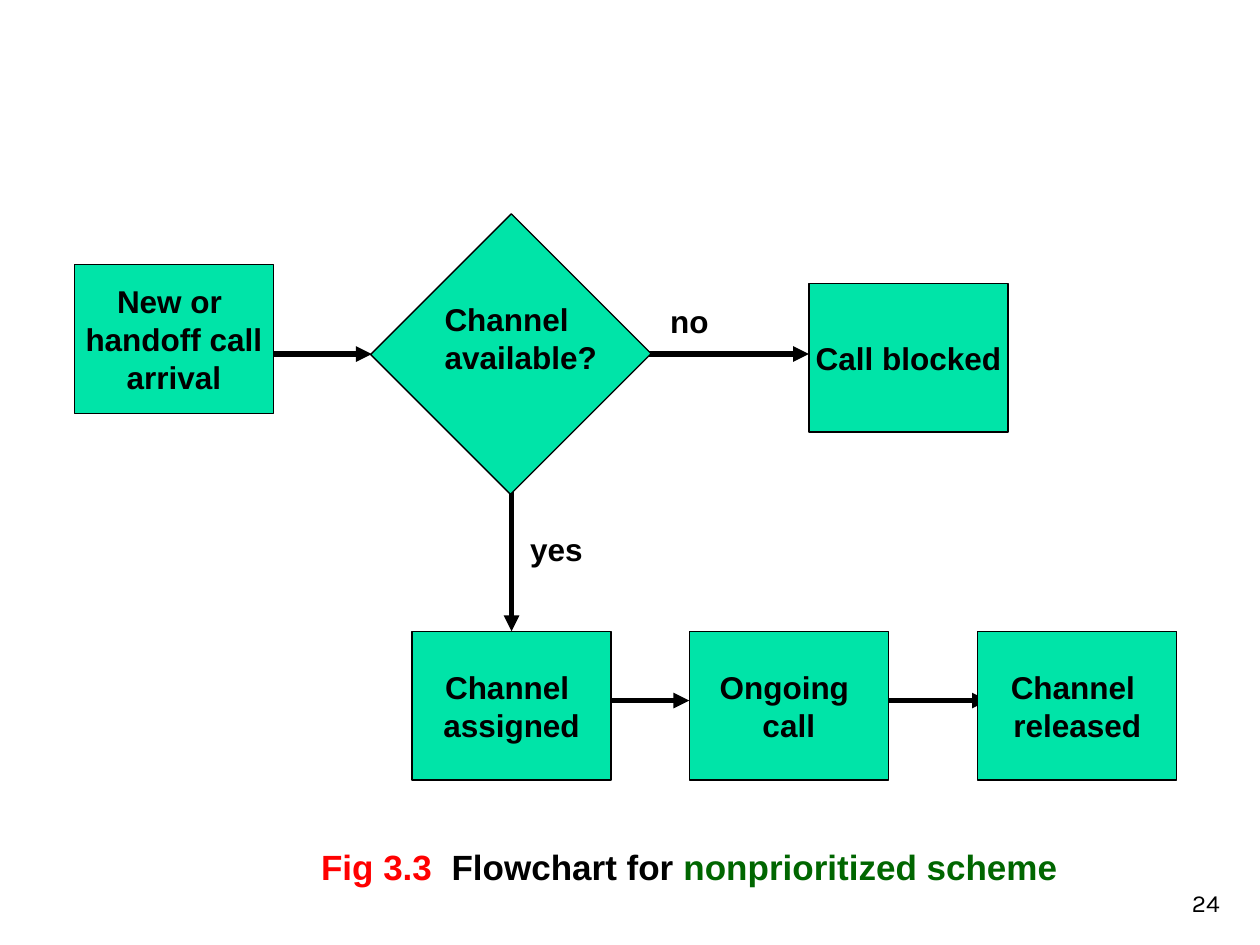
from lxml.etree import SubElement
from pptx import Presentation
from pptx.dml.color import RGBColor
from pptx.enum.shapes import MSO_CONNECTOR, MSO_SHAPE
from pptx.enum.text import MSO_ANCHOR, MSO_AUTO_SIZE, PP_ALIGN
from pptx.oxml.ns import qn
from pptx.util import Inches, Pt

COLORS = {
    "ink": "000000",
    "box": "00E4A8",
    "figure": "FF0000",
    "scheme": "006600",
}
BOX_WIDTH, BOX_HEIGHT = 1.58, 1.18
ARROW_LENGTH = 1.34
UPPER_ARROW_Y, LOWER_ARROW_Y = 2.81, 5.56
LOWER_ROW_TOP = 5.01
DECISION_X = 4.06


def color(name):
    return RGBColor.from_string(COLORS[name])


def style_paragraph(paragraph, alignment, size=18, font_name="Arial", bold=True):
    paragraph.alignment = alignment
    paragraph.font.size = Pt(size)
    paragraph.font.name = font_name
    paragraph.font.bold = bold
    paragraph.font.color.rgb = color("ink")


def write_lines(frame, lines, alignment, **style):
    for index, line in enumerate(lines):
        paragraph = frame.add_paragraph() if index else frame.paragraphs[0]
        paragraph.add_run().text = line
        style_paragraph(paragraph, alignment, **style)


def add_block(slide, left, top, width, height):
    shape = slide.shapes.add_shape(
        MSO_SHAPE.RECTANGLE, Inches(left), Inches(top), Inches(width), Inches(height))
    shape.shadow.inherit = False
    shape.fill.solid()
    shape.fill.fore_color.rgb = color("box")
    shape.line.color.rgb = color("ink")
    shape.line.width = Pt(0.75)
    return shape


def add_step(slide, left, top, lines):
    shape = add_block(slide, left, top, BOX_WIDTH, BOX_HEIGHT)
    frame = shape.text_frame
    frame.word_wrap = False
    frame.vertical_anchor = MSO_ANCHOR.MIDDLE
    write_lines(frame, lines, PP_ALIGN.CENTER)
    return shape


def add_arrow(slide, start_x, start_y, end_x, end_y):
    connector = slide.shapes.add_connector(
        MSO_CONNECTOR.STRAIGHT,
        Inches(start_x), Inches(start_y), Inches(end_x), Inches(end_y))
    connector.line.color.rgb = color("ink")
    connector.line.width = Pt(3)
    SubElement(connector.line._get_or_add_ln(), qn("a:tailEnd"), type="triangle")
    SubElement(connector._element.spPr, qn("a:effectLst"))
    return connector


def add_label(slide, left, top, width, height, lines):
    label = slide.shapes.add_textbox(
        Inches(left), Inches(top), Inches(width), Inches(height))
    frame = label.text_frame
    frame.word_wrap = True
    frame.auto_size = MSO_AUTO_SIZE.SHAPE_TO_FIT_TEXT
    write_lines(frame, lines, PP_ALIGN.LEFT)
    return label


def add_flowchart(slide):
    yes_arrow = add_arrow(slide, DECISION_X, 3.59, DECISION_X, LOWER_ROW_TOP)
    for start_x, y in [
        (5.08, UPPER_ARROW_Y),
        (4.13, LOWER_ARROW_Y),
        (6.5, LOWER_ARROW_Y),
        (1.61, UPPER_ARROW_Y),
    ]:
        add_arrow(slide, start_x, y, start_x + ARROW_LENGTH, y)

    add_step(slide, 0.59, 2.1, ["New or ", "handoff call", "arrival"])
    decision = add_block(slide, 3.27, 2.02, 1.57, 1.58)
    decision.rotation = 45
    add_step(slide, 6.42, 2.25, ["Call blocked"])

    assigned = add_step(
        slide, DECISION_X - BOX_WIDTH / 2, LOWER_ROW_TOP, ["Channel ", "assigned"])
    add_step(slide, 5.47, LOWER_ROW_TOP, ["Ongoing ", "call"])
    add_step(slide, 7.76, LOWER_ROW_TOP, ["Channel ", "released"])
    yes_arrow.end_connect(assigned, 0)

    add_label(slide, 5.22, 2.35, 0.6, 0.4, ["no"])
    add_label(slide, 4.11, 4.16, 0.7, 0.4, ["yes"])
    add_label(slide, 3.43, 2.33, 1.5, 1, ["Channel", "available?"])


def add_caption(slide, left, top, width, height):
    caption = add_label(slide, left, top, width, height, [])
    paragraph = caption.text_frame.paragraphs[0]
    style_paragraph(paragraph, PP_ALIGN.LEFT, size=20)
    for text, color_name in [
        ("Fig 3.3 ", "figure"),
        (" Flowchart for ", "ink"),
        ("nonprioritized scheme", "scheme"),
    ]:
        run = paragraph.add_run()
        run.text = text
        run.font.color.rgb = color(color_name)


def add_page_number(slide, left, top, width, height):
    box = slide.shapes.add_textbox(
        Inches(left), Inches(top), Inches(width), Inches(height))
    frame = box.text_frame
    frame.word_wrap = True
    frame.vertical_anchor = MSO_ANCHOR.BOTTOM
    write_lines(frame, ["24"], PP_ALIGN.RIGHT, size=14, font_name="Karla", bold=False)


def main():
    presentation = Presentation()
    presentation.slide_width = Inches(10)
    presentation.slide_height = Inches(7.5)
    slide = presentation.slides.add_slide(presentation.slide_layouts[6])
    add_page_number(slide, 7.7, 6.83, 2.08, 0.5)
    add_flowchart(slide)
    add_caption(slide, 2.45, 6.66, 6.2, 0.44)
    presentation.save("out.pptx")


if __name__ == "__main__":
    main()
